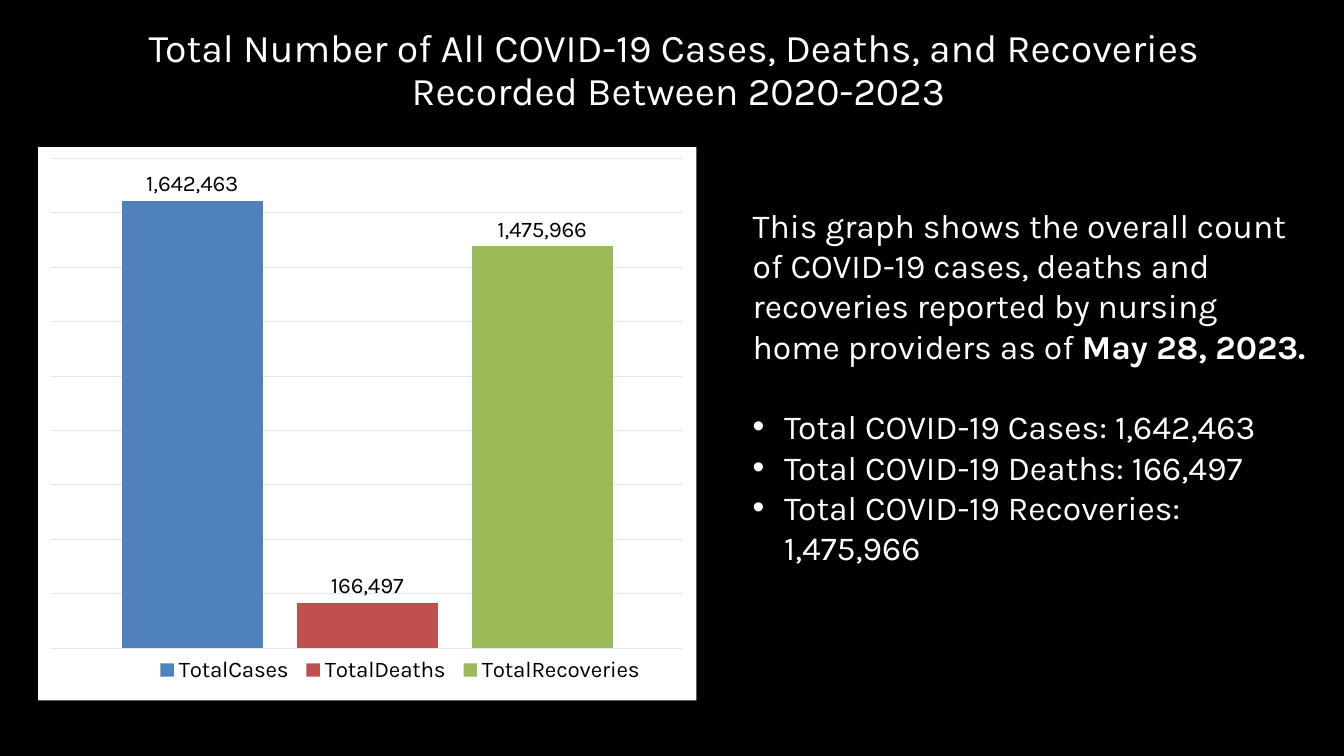
from lxml.etree import SubElement
from pptx import Presentation
from pptx.chart.data import CategoryChartData as Data
from pptx.dml.color import RGBColor as RGB
from pptx.enum.chart import XL_CHART_TYPE as Kind, XL_LABEL_POSITION as Spot, XL_LEGEND_POSITION as Side
from pptx.enum.text import MSO_ANCHOR as Anchor, PP_ALIGN as Align
from pptx.oxml import parse_xml
from pptx.oxml.ns import nsdecls, qn
from pptx.util import Cm, Pt

FONT = "Karla"
COUNTS = [
    ("Cases", 1642463, ("4EC3DC", "15BFDC", "0BB0CC")),
    ("Deaths", 166497, ("F0A24B", "EA9600", "D08500")),
    ("Recoveries", 1475966, ("666EEC", "434FF0", "333FDE")),
]


def color(code):
    return RGB.from_string(code)


def style(font, size, code, bold=False):
    font.name = FONT
    font.size = Pt(size)
    font.bold = bold
    font.color.rgb = color(code)


def write(para, text, size=24, code="FFFFFF", bold=False, align=Align.LEFT,
          space=None, before=0, bullet=False):
    para.alignment = align
    para.space_before = Pt(before)
    if space:
        para.line_spacing = space
    for i, line in enumerate(text.split("\n")):
        if i:
            para.add_line_break()
        run = para.add_run()
        run.text = line
        style(run.font, size, code, bold)
    if bullet:
        props = para._p.get_or_add_pPr()
        props.set("marL", str(Cm(0.79)))
        props.set("indent", str(-Cm(0.79)))
        SubElement(props, qn("a:buFont")).set("typeface", "Arial")
        SubElement(props, qn("a:buChar")).set("char", "•")


def frame(slide, left, top, width, height, anchor=Anchor.TOP):
    box = slide.shapes.add_textbox(Cm(left), Cm(top), Cm(width), Cm(height))
    box.text_frame.word_wrap = True
    box.text_frame.vertical_anchor = anchor
    return box.text_frame


def shade(bar, codes):
    stops = "".join(
        f'<a:gs pos="{i * 50000}"><a:srgbClr val="{code}"/></a:gs>'
        for i, code in enumerate(codes))
    props = bar.format._element if hasattr(bar.format, "_element") else bar._element.get_or_add_spPr()
    props.insert(0, parse_xml(
        f'<a:gradFill {nsdecls("a")} rotWithShape="1"><a:gsLst>{stops}</a:gsLst>'
        '<a:lin ang="5400000" scaled="0"/></a:gradFill>'))


def layout(x, y, w, h, inner=False):
    target = '<c:layoutTarget val="inner"/>' if inner else ""
    modes = '<c:xMode val="edge"/><c:yMode val="edge"/>'
    sizes = "".join(f'<c:{key} val="{val}"/>' for key, val in zip("xywh", (x, y, w, h)))
    return parse_xml(
        f'<c:layout {nsdecls("c")}><c:manualLayout>{target}{modes}{sizes}'
        '</c:manualLayout></c:layout>')


def place(chart):
    area = chart._chartSpace.chart.plotArea
    for old in area.findall(qn("c:layout")):
        area.remove(old)
    area.insert(0, layout(0.02, 0.02, 0.96, 0.886, inner=True))
    legend = chart.legend._element
    for old in legend.findall(qn("c:layout")):
        legend.remove(old)
    legend.find(qn("c:legendPos")).addnext(layout(0.17, 0.91, 0.76, 0.07))
    chart._chartSpace.chart.addnext(parse_xml(
        f'<c:spPr {nsdecls("c", "a")}><a:solidFill><a:srgbClr val="FFFFFF"/></a:solidFill>'
        '<a:ln><a:noFill/></a:ln></c:spPr>'))


def graph(slide):
    data = Data(number_format="#,##0")
    data.categories = ["1"]
    for name, count, _ in COUNTS:
        data.add_series(f"Total{name}", [count])
    chart = slide.shapes.add_chart(
        Kind.COLUMN_CLUSTERED, Cm(0.96), Cm(3.71), Cm(16.59), Cm(13.94), data).chart
    style(chart.font, 10, "FFFFFF")
    chart.has_title = False
    chart.has_legend = True
    chart.legend.position = Side.BOTTOM
    chart.legend.include_in_layout = False
    style(chart.legend.font, 16, "000000")
    chart.category_axis.visible = False
    axis = chart.value_axis
    axis.visible = False
    axis.minimum_scale = 0
    axis.maximum_scale = 1800000
    axis.major_unit = 200000
    axis.has_major_gridlines = True
    grid = axis.major_gridlines.format.line
    grid.color.rgb = color("E6E6E6")
    grid.width = Pt(0.75)
    plot = chart.plots[0]
    plot.gap_width = 100
    plot.overlap = -24
    plot.vary_by_categories = False
    for bar, (_, _, codes) in zip(plot.series, COUNTS):
        shade(bar, codes)
        tags = bar.data_labels
        tags.show_value = True
        tags.position = Spot.OUTSIDE_END
        tags.number_format = "#,##0"
        tags.number_format_is_linked = False
        style(tags.font, 16, "000000")
    place(chart)


def main():
    deck = Presentation()
    deck.slide_width, deck.slide_height = Cm(33.87), Cm(19.05)
    slide = deck.slides.add_slide(deck.slide_layouts[6])
    slide.background.fill.solid()
    slide.background.fill.fore_color.rgb = color("000000")

    title = frame(slide, 2.49, 0.81, 29.21, 1.98, Anchor.MIDDLE)
    write(title.paragraphs[0],
          "Total Number of All COVID-19 Cases, Deaths, and Recoveries \nRecorded Between 2020-2023",
          size=28, align=Align.CENTER, space=0.9)
    graph(slide)

    body = frame(slide, 18.72, 5.03, 14.43, 9.5)
    intro = body.paragraphs[0]
    write(intro, "This graph shows the overall count of COVID-19 cases, deaths and "
                 "recoveries reported by nursing home providers as of ")
    write(intro, "May 28, 2023.", bold=True)
    for i, (name, count, _) in enumerate(COUNTS):
        write(body.add_paragraph(), f"Total COVID-19 {name}: {count:,}",
              before=0 if i else 28.8, bullet=True)
    deck.save("out.pptx")


if __name__ == "__main__":
    main()
